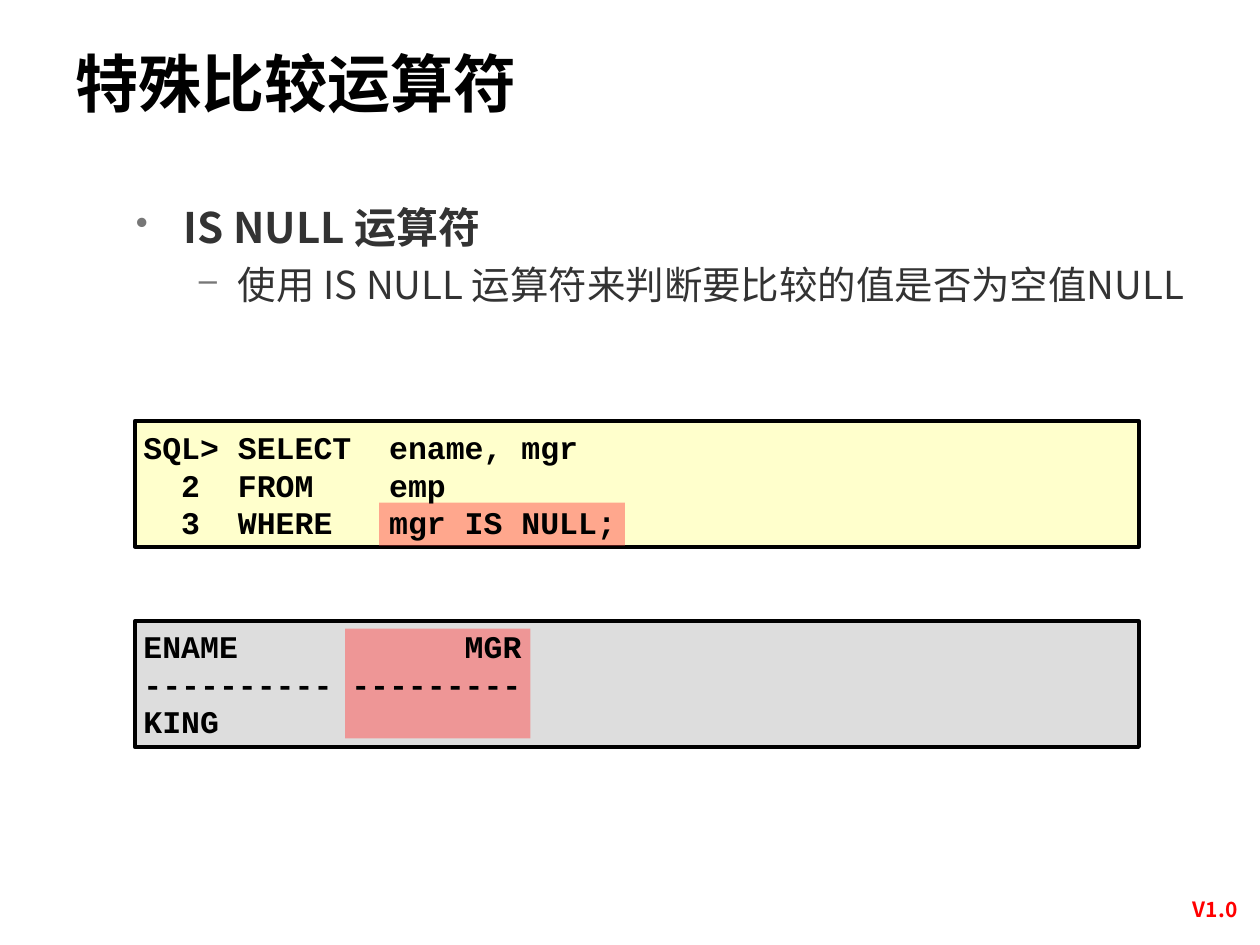
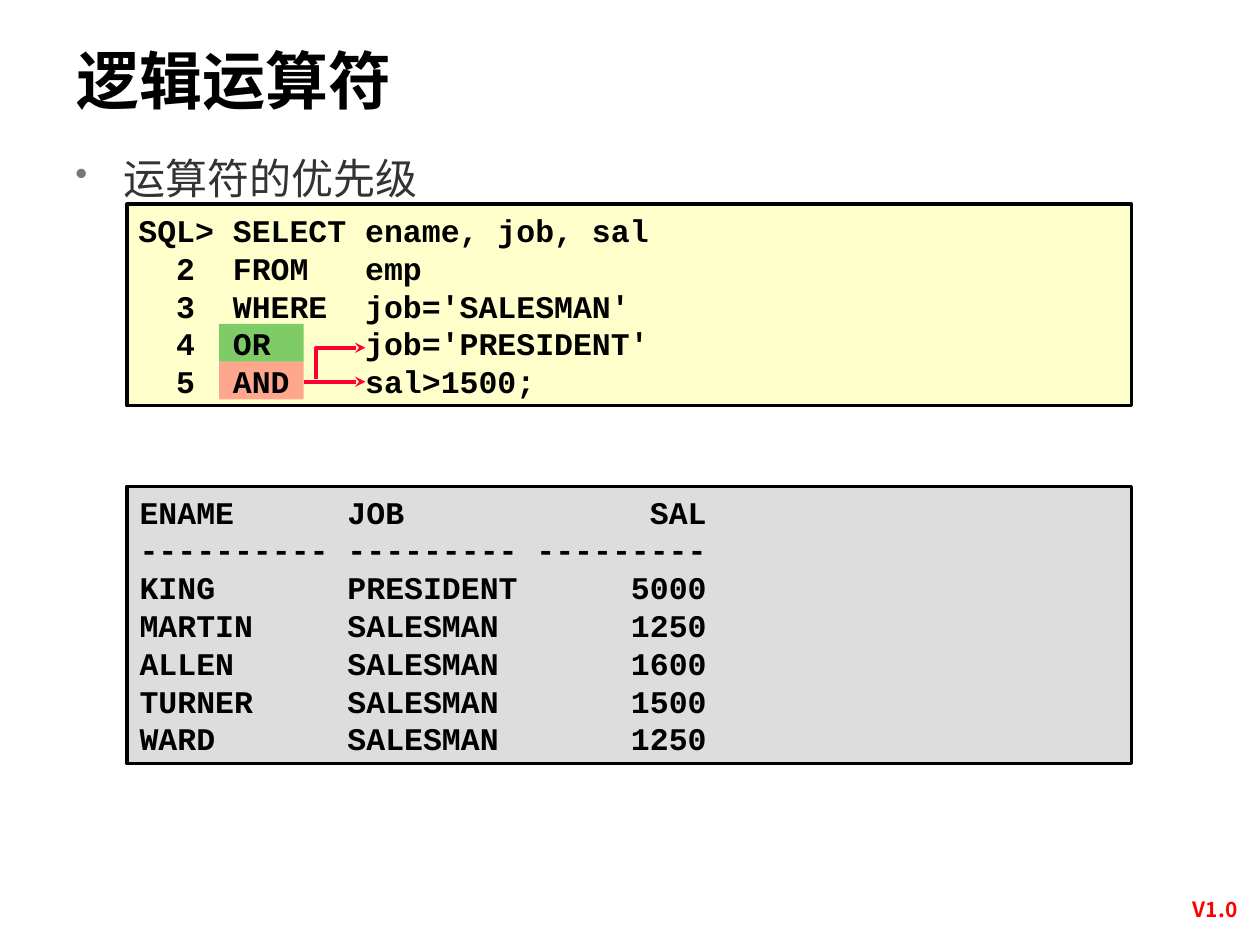
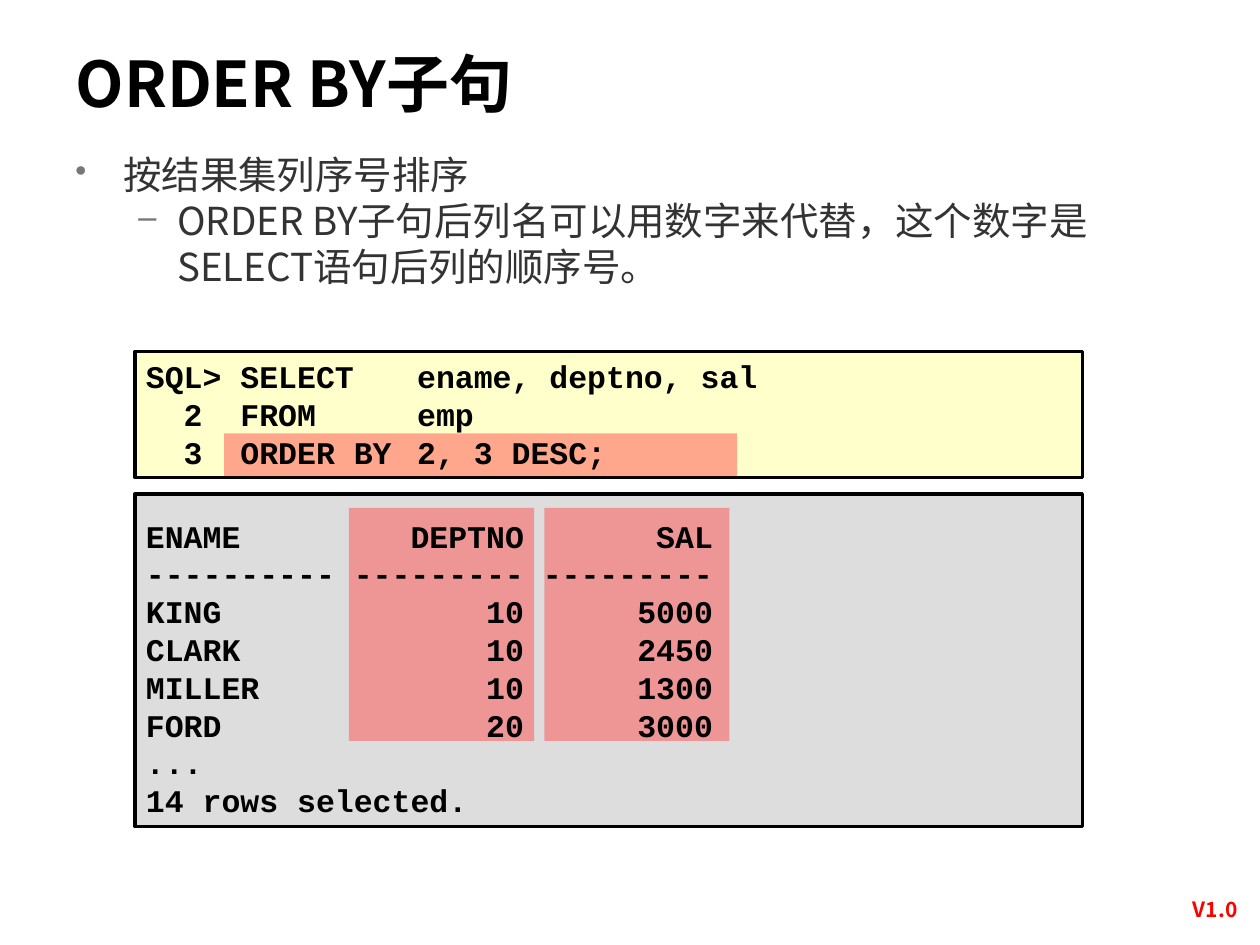
"""Build three slides on SQL operators and sorting."""
from dataclasses import dataclass
from typing import NamedTuple

import lxml.etree
import pptx
import pptx.dml.color
import pptx.enum.shapes
import pptx.enum.text
import pptx.oxml.ns
import pptx.util

COLS, ROWS = 100, 75
WIDTH, HEIGHT = pptx.util.Inches(10), pptx.util.Inches(7.5)
CHAR = 1.5
SANS, MONO = "Noto Sans CJK SC", "Courier New"
BLACK, GREY, BULLET = "000000", "333333", "777777"
CREAM, SILVER = "FFFFCC", "DDDDDD"
RED, GREEN, ARROW, VERSION = "FF5050", "009900", "FF0033", "FF0000"
qn = pptx.oxml.ns.qn


class Box(NamedTuple):
    """A rectangle in grid columns and rows."""
    col: float
    row: float
    cols: float
    rows: float


class Mark(NamedTuple):
    """A half-transparent highlight."""
    box: Box
    color: str = RED


class Tab(NamedTuple):
    """A tab stop counted in characters."""
    chars: float
    algn: str = "l"


@dataclass(frozen=True)
class Listing:
    """A framed block of code or query output."""
    frame: Box
    text: Box
    fill: str
    tabs: tuple[Tab, ...]
    lines: tuple[str, ...]
    marks: tuple[Mark, ...] = ()


@dataclass(frozen=True)
class Bullet:
    """A bulleted paragraph."""
    text: str
    size: int
    level: int = 0
    bold: bool = False


@dataclass(frozen=True)
class Page:
    """One slide of the deck."""
    title: str
    title_box: Box
    body_box: Box
    bullets: tuple[Bullet, ...]
    spacing: float
    listings: tuple[Listing, ...]
    arrows: tuple[tuple[tuple[float, float], ...], ...] = ()


def x(cols: float) -> int:
    """Turn grid columns into a length."""
    return round(WIDTH * cols / COLS)


def y(rows: float) -> int:
    """Turn grid rows into a length."""
    return round(HEIGHT * rows / ROWS)


def place(box: Box) -> tuple[int, int, int, int]:
    """Turn a grid box into left, top, width and height."""
    return x(box.col), y(box.row), x(box.cols), y(box.rows)


def paint(fmt, color: str) -> None:
    """Give a fill or font a solid colour."""
    target = fmt.color if hasattr(fmt, "color") else fmt
    if hasattr(fmt, "solid"):
        fmt.solid()
        target = fmt.fore_color
    target.rgb = pptx.dml.color.RGBColor.from_string(color)


def assign(obj, values: dict) -> None:
    """Set each named attribute of an object."""
    for name, value in values.items():
        setattr(obj, name, value)


def child(parent, tag: str, **attrs: str):
    """Append a DrawingML element."""
    return lxml.etree.SubElement(parent, qn(tag), attrs)


def add_text(p, text: str, size: int, color: str, font: str = SANS, bold: bool = True) -> None:
    """Add a formatted run to a paragraph."""
    r = p.add_run()
    r.text = text
    assign(r.font, {"size": pptx.util.Pt(size), "bold": bold, "name": font})
    paint(r.font, color)
    child(r._r.get_or_add_rPr(), "a:ea", typeface=font)


def prepare(tf, anchor=pptx.enum.text.MSO_ANCHOR.TOP):
    """Wrap, anchor and return a text frame."""
    assign(tf, {"word_wrap": True, "auto_size": pptx.enum.text.MSO_AUTO_SIZE.NONE,
                "vertical_anchor": anchor})
    return tf


def paragraphs(tf, count: int) -> list:
    """Return the given number of paragraphs of an empty frame."""
    return [tf.paragraphs[0]] + [tf.add_paragraph() for _ in range(count - 1)]


def add_rect(slide, box: Box, color: str):
    """Draw a plain filled rectangle."""
    sp = slide.shapes.add_shape(pptx.enum.shapes.MSO_SHAPE.RECTANGLE, *place(box))
    sp.shadow.inherit = False
    paint(sp.fill, color)
    return sp


def add_mark(slide, mark: Mark) -> None:
    """Draw a half-transparent highlight."""
    sp = add_rect(slide, mark.box, mark.color)
    sp.line.fill.background()
    child(sp._element.spPr.find(".//" + qn("a:srgbClr")), "a:alpha", val="50000")


def add_listing(slide, listing: Listing) -> None:
    """Draw a frame, its highlights and its aligned text."""
    sp = add_rect(slide, listing.frame, listing.fill)
    paint(sp.line.fill, BLACK)
    sp.line.width = pptx.util.Pt(2)
    for mark in listing.marks:
        add_mark(slide, mark)
    box = slide.shapes.add_textbox(*place(listing.text))
    tf = prepare(box.text_frame, pptx.enum.text.MSO_ANCHOR.MIDDLE)
    for p, line in zip(paragraphs(tf, len(listing.lines)), listing.lines):
        tabs = child(p._p.get_or_add_pPr(), "a:tabLst")
        for tab in listing.tabs:
            child(tabs, "a:tab", pos=str(x(tab.chars * CHAR)), algn=tab.algn)
        add_text(p, line, 18, BLACK, MONO)


def add_bullets(slide, page: Page) -> None:
    """Draw the bulleted text."""
    tf = prepare(slide.shapes.add_textbox(*place(page.body_box)).text_frame)
    for p, bullet in zip(paragraphs(tf, len(page.bullets)), page.bullets):
        assign(p, {"level": bullet.level, "line_spacing": page.spacing})
        margin, hang, char = ((3.8, 3.8, "•"), (8.1, 3.1, "–"))[bullet.level]
        pPr = p._p.get_or_add_pPr()
        pPr.set("marL", str(x(margin)))
        pPr.set("indent", str(-x(hang)))
        child(child(pPr, "a:buClr"), "a:srgbClr", val=BULLET)
        child(pPr, "a:buSzPct", val="85000")
        child(pPr, "a:buChar", char=char)
        add_text(p, bullet.text, bullet.size, GREY, bold=bullet.bold)


def add_arrow(slide, points: tuple[tuple[float, float], ...]) -> None:
    """Draw a straight or bent arrow through grid points."""
    start, *rest = [(x(col), y(row)) for col, row in points]
    if len(rest) == 1:
        sp = slide.shapes.add_connector(pptx.enum.shapes.MSO_CONNECTOR.STRAIGHT, *start, *rest[0])
    else:
        builder = slide.shapes.build_freeform(*start)
        builder.add_line_segments(rest, close=False)
        sp = builder.convert_to_shape()
        sp.fill.background()
    paint(sp.line.fill, ARROW)
    sp.line.width = pptx.util.Pt(2)
    spPr = sp._element.spPr
    child(spPr.find(qn("a:ln")), "a:tailEnd", type="stealth")
    child(spPr, "a:effectLst")


def add_title(slide, page: Page) -> None:
    """Move and format the title placeholder."""
    sp = slide.shapes.title
    assign(sp, dict(zip(("left", "top", "width", "height"), place(page.title_box))))
    p = prepare(sp.text_frame).paragraphs[0]
    p.alignment = pptx.enum.text.PP_ALIGN.LEFT
    add_text(p, page.title, 36, BLACK)


def add_version(slide) -> None:
    """Draw the version label in the corner."""
    sp = slide.shapes.add_textbox(*place(Box(92.5, 70.7, 7.9, 3)))
    p = prepare(sp.text_frame).paragraphs[0]
    p.alignment = pptx.enum.text.PP_ALIGN.CENTER
    add_text(p, "V1.0", 12, VERSION)


def add_page(prs, page: Page) -> None:
    """Add one slide."""
    slide = prs.slides.add_slide(prs.slide_layouts[5])
    add_version(slide)
    add_title(slide, page)
    for listing in page.listings:
        add_listing(slide, listing)
    for points in page.arrows:
        add_arrow(slide, points)
    add_bullets(slide, page)


def code_tabs(column: float) -> tuple[Tab, ...]:
    """Return stops for line number, keyword and operand."""
    return Tab(2), Tab(5), Tab(column)


PAGES = (
    Page(
        "特殊比较运算符", Box(5, 3, 79.7, 7.7), Box(9.8, 14.7, 86, 15),
        (Bullet("IS NULL 运算符", 24, bold=True),
         Bullet("使用 IS NULL 运算符来判断要比较的值是否为空值NULL", 22, 1)), 1.2,
        (Listing(Box(10.7, 33.4, 79.7, 10), Box(10.4, 33.3, 80, 10.3), CREAM, code_tabs(13),
                 ("SQL>\tSELECT\tename, mgr", "\t2\tFROM\temp", "\t3\tWHERE\tmgr IS NULL;"),
                 (Mark(Box(30.1, 39.9, 19.5, 3.4)),)),
         Listing(Box(10.7, 49.3, 79.7, 10), Box(10.4, 49.1, 80, 10.3), SILVER, (Tab(20, "r"),),
                 ("ENAME\tMGR", "----------\t---------", "KING"),
                 (Mark(Box(27.4, 49.9, 14.7, 8.7)),)))),
    Page(
        "逻辑运算符", Box(5.1, 2.8, 79.8, 9.6), Box(5, 10.8, 90.7, 5.4),
        (Bullet("运算符的优先级", 24),), 1.2,
        (Listing(Box(10.1, 16.2, 79.7, 16), Box(10, 16.1, 80, 16.3), CREAM, code_tabs(12),
                 ("SQL>\tSELECT\tename, job, sal", "\t2\tFROM\temp", "\t3\tWHERE\tjob='SALESMAN'",
                  "\t4\tOR\tjob='PRESIDENT'", "\t5\tAND\tsal>1500;"),
                 (Mark(Box(17.4, 28.7, 6.7, 3)), Mark(Box(17.4, 25.7, 6.7, 3), GREEN))),
         Listing(Box(10.1, 38.6, 79.7, 22), Box(10.1, 38.6, 79.7, 22), SILVER,
                 (Tab(11), Tab(30, "r")),
                 ("ENAME\tJOB\tSAL", "----------\t---------\t---------",
                  "KING\tPRESIDENT\t5000", "MARTIN\tSALESMAN\t1250", "ALLEN\tSALESMAN\t1600",
                  "TURNER\tSALESMAN\t1500", "WARD\tSALESMAN\t1250"))),
        (((25.1, 30.1), (25.1, 27.6), (29, 27.6)), ((24.1, 30.3), (29, 30.3)))),
    Page(
        "ORDER BY子句", Box(5, 3, 86.7, 7.7), Box(5, 11.5, 91.7, 16.5),
        (Bullet("按结果集列序号排序", 22),
         Bullet("ORDER BY子句后列名可以用数字来代替，这个数字是SELECT语句后列的顺序号。", 22, 1)), 1.0,
        (Listing(Box(10.7, 27.9, 75.2, 10), Box(10.6, 27.7, 75.5, 10.3), CREAM, code_tabs(14.35),
                 ("SQL>\tSELECT\tename, deptno, sal", "\t2\tFROM\temp",
                  "\t3\tORDER BY\t2, 3 DESC;"),
                 (Mark(Box(17.8, 34.4, 40.7, 3.4)),)),
         Listing(Box(10.7, 39.2, 75.2, 26.4), Box(10.6, 37.8, 75.5, 30.4), SILVER,
                 (Tab(20, "r"), Tab(30, "r")),
                 ("ENAME\tDEPTNO\tSAL", "----------\t---------\t---------", "KING\t10\t5000",
                  "CLARK\t10\t2450", "MILLER\t10\t1300", "FORD\t20\t3000", "...",
                  "14 rows selected."),
                 tuple(Mark(Box(col, 40.3, 14.7, 18.5)) for col in (27.7, 43.2))))),
)


def main() -> None:
    """Build and save the deck."""
    prs = pptx.Presentation()
    assign(prs, {"slide_width": WIDTH, "slide_height": HEIGHT})
    for page in PAGES:
        add_page(prs, page)
    prs.save("out.pptx")


if __name__ == "__main__":
    main()
